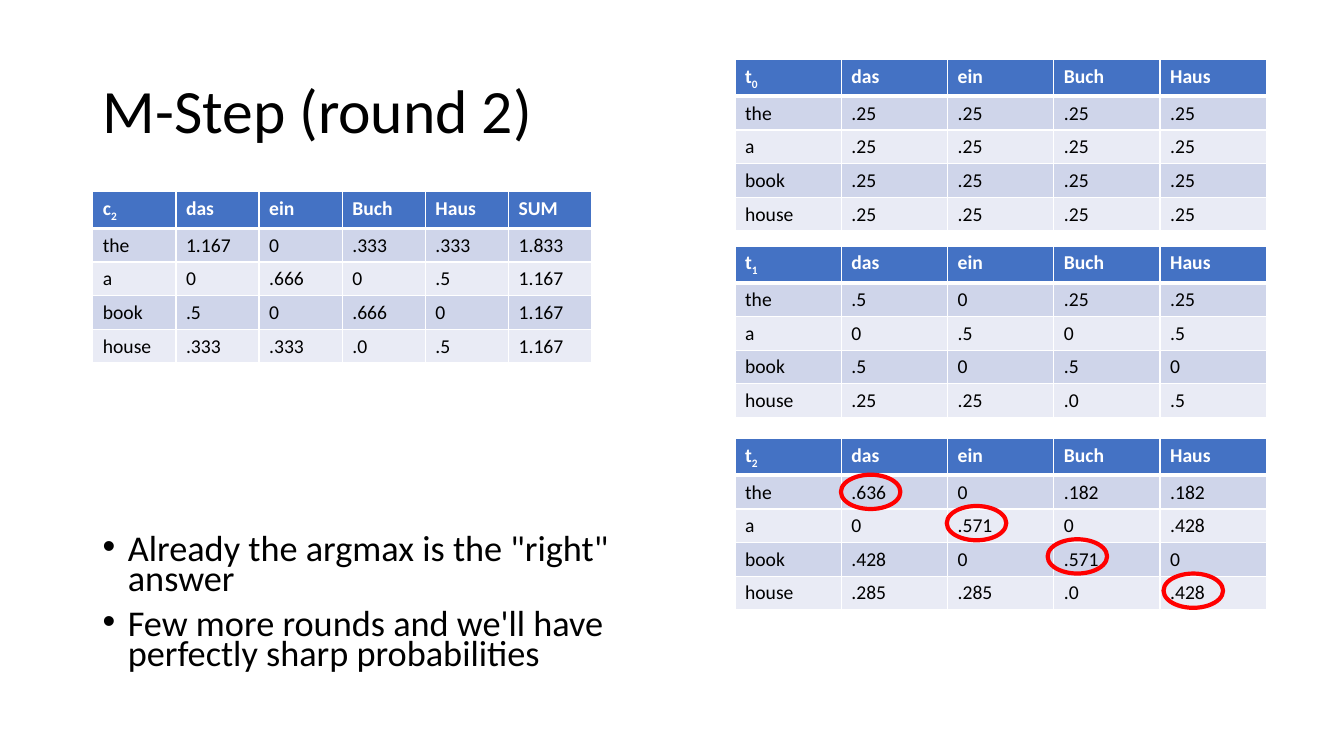
from typing import NamedTuple

from lxml.etree import SubElement
from pptx import Presentation
from pptx.dml.color import RGBColor
from pptx.enum.shapes import MSO_SHAPE as Shape
from pptx.enum.text import MSO_ANCHOR as Anchor
from pptx.oxml.ns import qn
from pptx.util import Pt

EMU_PER_PX = 9144  # 100 px to the inch
FONT = "Calibri"
COLOURS = {
    "text": "000000",
    "header": "4472C4",
    "header text": "FFFFFF",
    "border": "FFFFFF",
    "odd row": "CFD5EA",
    "even row": "E9EBF5",
    "ring": "FF0000",
}
GERMAN = ["das", "ein", "Buch", "Haus"]
ENGLISH = ["the", "a", "book", "house"]
RING_SIZE = (59, 34)


class Grid(NamedTuple):
    symbol: str
    round_number: str
    left: int
    top: int
    width: int
    row_height: int
    columns: list[str]
    values: list[str]


class Ring(NamedTuple):
    left: int
    top: int


GRIDS = [
    Grid("t", "0", 729, 59, 527, 28, GERMAN, [".25 .25 .25 .25"] * 4),
    Grid("t", "1", 729, 244, 527, 28, GERMAN,
         [".5 0 .25 .25", "0 .5 0 .5", ".5 0 .5 0", ".25 .25 .0 .5"]),
    Grid("c", "2", 92, 190, 495, 33, GERMAN + ["SUM"],
         ["1.167 0 .333 .333 1.833", "0 .666 0 .5 1.167",
          ".5 0 .666 0 1.167", ".333 .333 .0 .5 1.167"]),
    Grid("t", "2", 729, 435, 527, 28, GERMAN,
         [".636 0 .182 .182", "0 .571 0 .428",
          ".428 0 .571 0", ".285 .285 .0 .428"]),
]
RINGS = [Ring(834, 471), Ring(939, 502), Ring(1039, 535), Ring(1154, 569)]
BULLETS = [
    'Already the argmax is the "right" answer',
    "Few more rounds and we'll have perfectly sharp probabilities",
]


def px(length: int) -> int:
    return length * EMU_PER_PX


def colour(name: str) -> RGBColor:
    return RGBColor.from_string(COLOURS[name])


def add_span(para, text: str, size: float, colour_name: str = "text",
             bold: bool = False, subscript: bool = False) -> None:
    span = para.add_run()
    span.text = text
    span.font.name = FONT
    span.font.size = Pt(size)
    span.font.bold = bold
    span.font.color.rgb = colour(colour_name)
    if subscript:
        span._r.get_or_add_rPr().set("baseline", "-25000")


def add_text_frame(page, left: int, top: int, width: int, height: int):
    box = page.shapes.add_textbox(px(left), px(top), px(width), px(height))
    box.text_frame.word_wrap = True
    return box.text_frame


def add_title(page) -> None:
    frame = add_text_frame(page, 92, 40, 1150, 145)
    frame.vertical_anchor = Anchor.MIDDLE
    para = frame.paragraphs[0]
    para.line_spacing = 0.9
    add_span(para, "M-Step (round 2)", 44)


def add_bullets(page) -> None:
    frame = add_text_frame(page, 92, 528, 623, 147)
    for index, text in enumerate(BULLETS):
        para = frame.add_paragraph() if index else frame.paragraphs[0]
        para.line_spacing = 0.7
        para.space_before = Pt(10)
        properties = para._p.get_or_add_pPr()
        properties.set("marL", str(px(25)))
        properties.set("indent", str(px(-25)))
        SubElement(properties, qn("a:buFont"), typeface="Arial")
        SubElement(properties, qn("a:buChar"), char="•")
        add_span(para, text, 25.9)


def add_borders(cell, row: int) -> None:
    """Draw thin borders, with a thick one between header and body."""
    widths = {"L": 1, "R": 1, "T": 3 if row == 1 else 1, "B": 3 if row == 0 else 1}
    properties = cell._tc.get_or_add_tcPr()
    for side, width in widths.items():
        line = SubElement(properties, qn(f"a:ln{side}"), w=str(Pt(width)))
        fill = SubElement(line, qn("a:solidFill"))
        SubElement(fill, qn("a:srgbClr"), val=COLOURS["border"])


def add_grid(page, grid: Grid) -> None:
    rows = [[grid.symbol, *grid.columns]]
    rows += [[word, *line.split()] for word, line in zip(ENGLISH, grid.values)]
    frame = page.shapes.add_table(len(rows), len(rows[0]), px(grid.left),
                                  px(grid.top), px(grid.width), px(167))
    table = frame.table
    table.horz_banding = False
    for row, texts in enumerate(rows):
        table.rows[row].height = px(grid.row_height)
        is_header = row == 0
        fill_name = "header" if is_header else "odd row" if row % 2 else "even row"
        text_name = "header text" if is_header else "text"
        for column, text in enumerate(texts):
            cell = table.cell(row, column)
            add_borders(cell, row)
            cell.fill.solid()
            cell.fill.fore_color.rgb = colour(fill_name)
            para = cell.text_frame.paragraphs[0]
            add_span(para, text, 14, text_name, is_header)
            if is_header and column == 0:
                add_span(para, grid.round_number, 14, text_name, True, subscript=True)
    frame.height = px(167)


def add_ring(page, ring: Ring) -> None:
    width, height = RING_SIZE
    oval = page.shapes.add_shape(Shape.OVAL, px(ring.left), px(ring.top),
                                 px(width), px(height))
    oval.shadow.inherit = False
    oval.fill.background()
    oval.line.color.rgb = colour("ring")
    oval.line.width = Pt(3)


def main() -> None:
    deck = Presentation()
    deck.slide_width, deck.slide_height = px(1333), px(750)
    page = deck.slides.add_slide(deck.slide_layouts[6])
    add_title(page)
    add_bullets(page)
    for grid in GRIDS:
        add_grid(page, grid)
    for ring in RINGS:
        add_ring(page, ring)
    deck.save("out.pptx")


if __name__ == "__main__":
    main()
